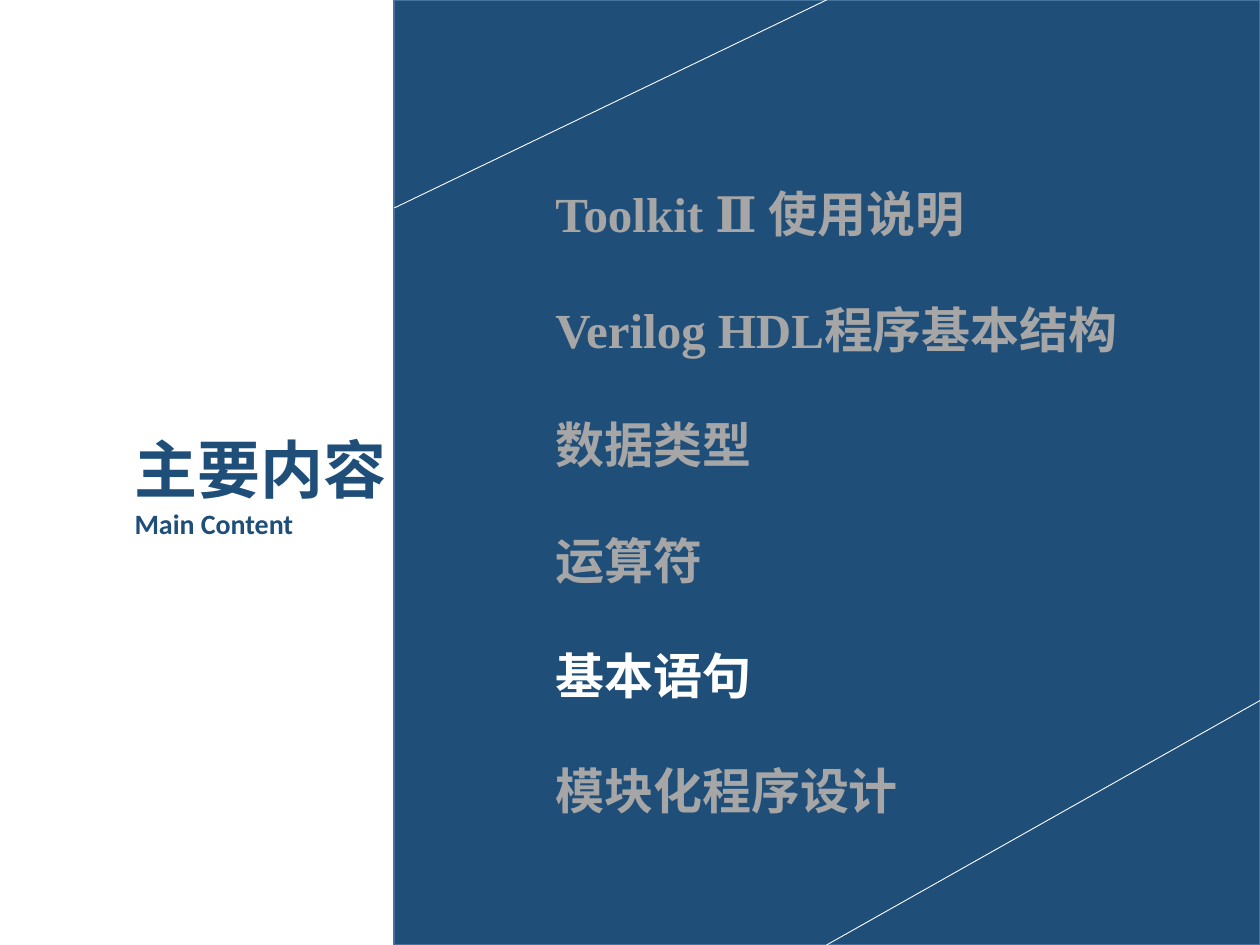
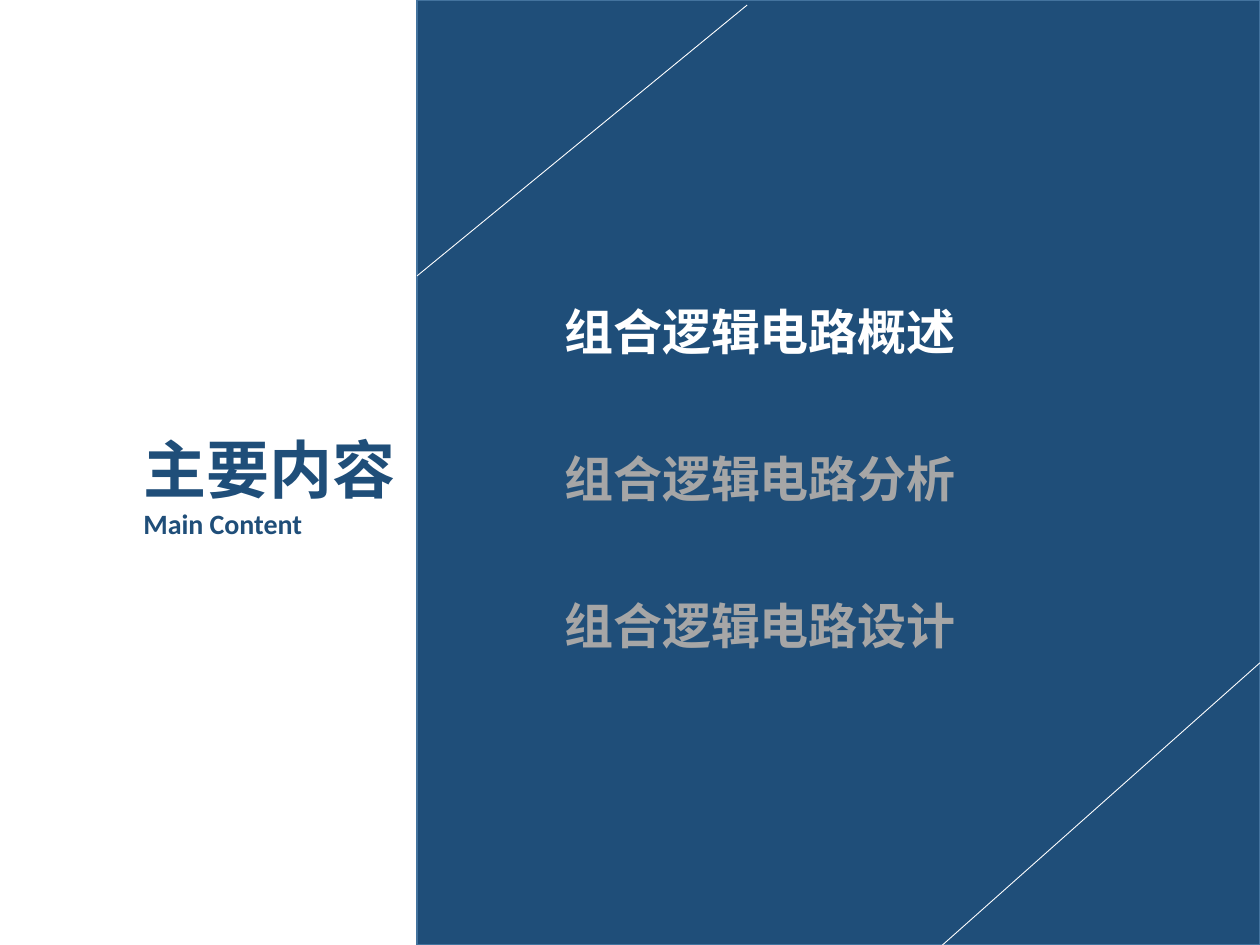
from dataclasses import dataclass

from lxml.etree import SubElement
from pptx import Presentation
from pptx.dml.color import RGBColor
from pptx.enum.shapes import MSO_CONNECTOR, MSO_SHAPE
from pptx.oxml.ns import qn
from pptx.slide import Slide
from pptx.util import Inches, Pt

WIDTH, HEIGHT = 10, 7.5
NAVY, EDGE, WHITE, GREY = "1F4E79", "43739E", "FFFFFF", "A6A6A6"
CJK, LATIN, SERIF = "Noto Sans CJK SC", "Calibri", "Times New Roman"
ITEM_HEIGHT = 0.57


@dataclass
class Item:
    runs: list[tuple[str, str]]  # text and font
    width: float
    current: bool = False


@dataclass
class Agenda:
    title_left: float
    title_width: float
    panel_left: float
    top_line: tuple[float, float, float]  # start x, start y, end y at the panel edge
    bottom_line: tuple[float, float]  # start y at the right edge, end x at the bottom
    item_left: float
    first_top: float
    last_top: float
    items: list[Item]


def rgb(color: str) -> RGBColor:
    return RGBColor.from_string(color)


def add_run(p, text: str, font: str, size: int, color: str) -> None:
    r = p.add_run()
    r.text = text
    for name, value in {"name": font, "size": Pt(size), "bold": True}.items():
        setattr(r.font, name, value)
    r.font.color.rgb = rgb(color)
    SubElement(r.font._element, qn("a:ea")).set("typeface", CJK)


def add_text(s: Slide, left: float, top: float, width: float, height: float):
    """Add a wrapping text box and return its first paragraph."""
    sp = s.shapes.add_textbox(*map(Inches, (left, top, width, height)))
    tf = sp.text_frame
    tf.word_wrap = True
    return tf.paragraphs[0]


def add_line(s: Slide, x1: float, y1: float, x2: float, y2: float) -> None:
    line = s.shapes.add_connector(MSO_CONNECTOR.STRAIGHT, *map(Inches, (x1, y1, x2, y2)))
    line.line.color.rgb = rgb(WHITE)
    line.line.width = Pt(0.5)
    SubElement(line._element.spPr, qn("a:effectLst"))


def add_title(s: Slide, left: float, width: float) -> None:
    p = add_text(s, left, 3.37, width, 0.98)
    add_run(p, "主要内容", CJK, 36, NAVY)
    p.add_line_break()
    add_run(p, "Main Content", LATIN, 16, NAVY)


def add_panel(s: Slide, left: float) -> None:
    box = map(Inches, (left, 0, WIDTH - left, HEIGHT))
    sp = s.shapes.add_shape(MSO_SHAPE.RECTANGLE, *box)
    sp.shadow.inherit = False
    sp.fill.solid()
    sp.fill.fore_color.rgb = rgb(NAVY)
    sp.line.color.rgb = rgb(EDGE)
    sp.line.width = Pt(1)


def add_agenda(prs, agenda: Agenda) -> None:
    s = prs.slides.add_slide(prs.slide_layouts[6])
    add_title(s, agenda.title_left, agenda.title_width)
    add_panel(s, agenda.panel_left)

    # Diagonal lines across the panel corners
    x, y, edge_y = agenda.top_line
    add_line(s, x, y, agenda.panel_left, edge_y)
    y, edge_x = agenda.bottom_line
    add_line(s, WIDTH, y, edge_x, HEIGHT)

    # Evenly spaced topics, the current one in white
    step = (agenda.last_top - agenda.first_top) / (len(agenda.items) - 1)
    for i, item in enumerate(agenda.items):
        p = add_text(s, agenda.item_left, agenda.first_top + i * step, item.width, ITEM_HEIGHT)
        for text, font in item.runs:
            add_run(p, text, font, 28, WHITE if item.current else GREY)


AGENDAS = [
    Agenda(
        title_left=0.97, title_width=2.33, panel_left=3.13,
        top_line=(6.56, 0, 1.65), bottom_line=(5.56, 6.56),
        item_left=4.31, first_top=1.41, last_top=5.99,
        items=[
            Item([("Toolkit Ⅱ 使用说明", SERIF)], 5.03),
            Item([("Verilog HDL", SERIF), ("程序基本结构", CJK)], 5.03),
            Item([("数据类型", CJK)], 4.25),
            Item([("运算符", CJK)], 4.25),
            Item([("基本语句", CJK)], 2.65, current=True),
            Item([("模块化程序设计", CJK)], 3.63),
        ],
    ),
    Agenda(
        title_left=1.04, title_width=2.27, panel_left=3.31,
        top_line=(5.93, 0.04, 2.19), bottom_line=(5.26, 7.48),
        item_left=4.38, first_top=2.34, last_top=4.68,
        items=[
            Item([("组合逻辑电路概述", CJK)], 3.94, current=True),
            Item([("组合逻辑电路分析", CJK)], 4.53),
            Item([("组合逻辑电路设计", CJK)], 5.35),
        ],
    ),
]


def main() -> None:
    prs = Presentation()
    prs.slide_width, prs.slide_height = Inches(WIDTH), Inches(HEIGHT)
    for agenda in AGENDAS:
        add_agenda(prs, agenda)
    prs.save("out.pptx")


if __name__ == "__main__":
    main()
